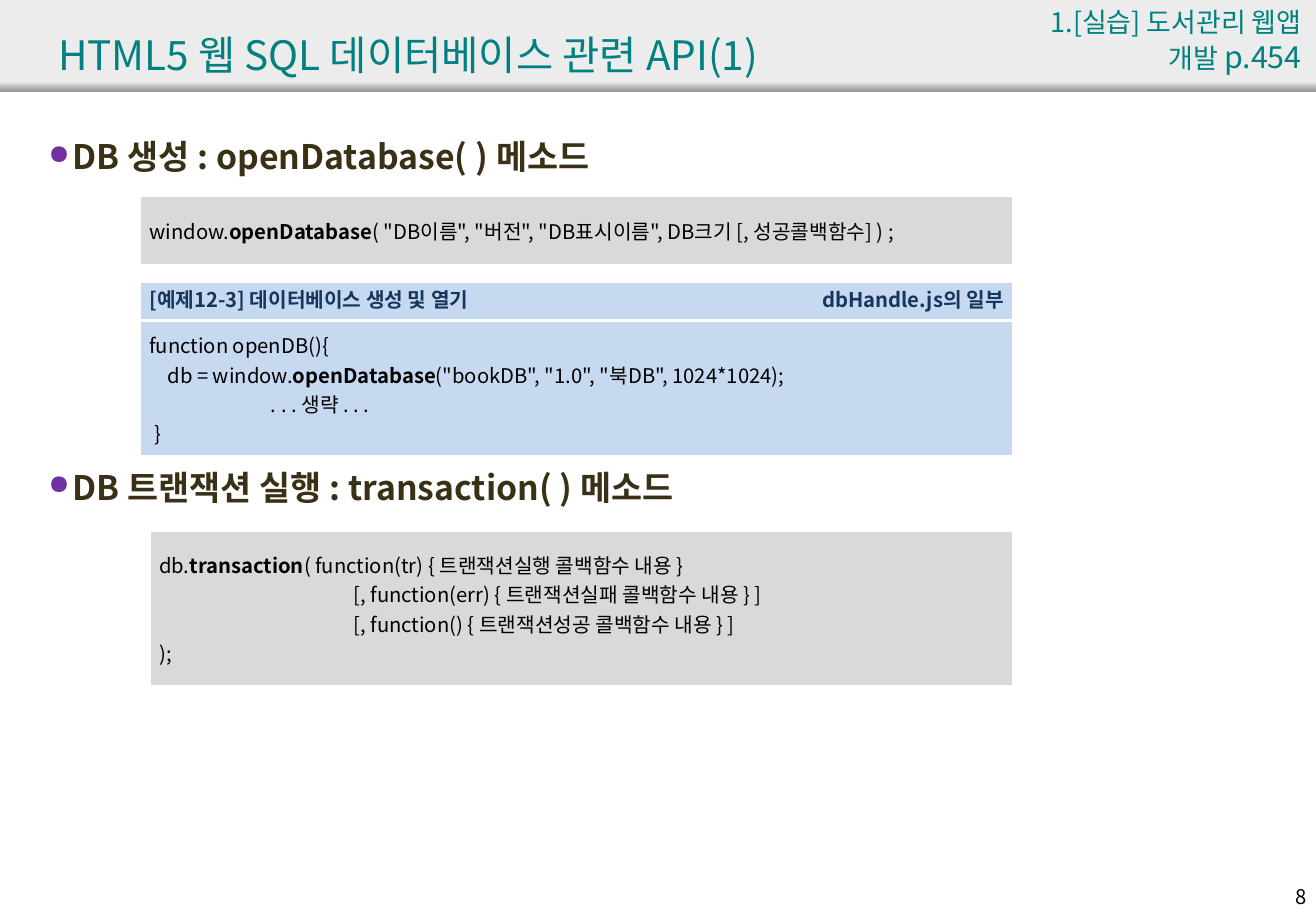
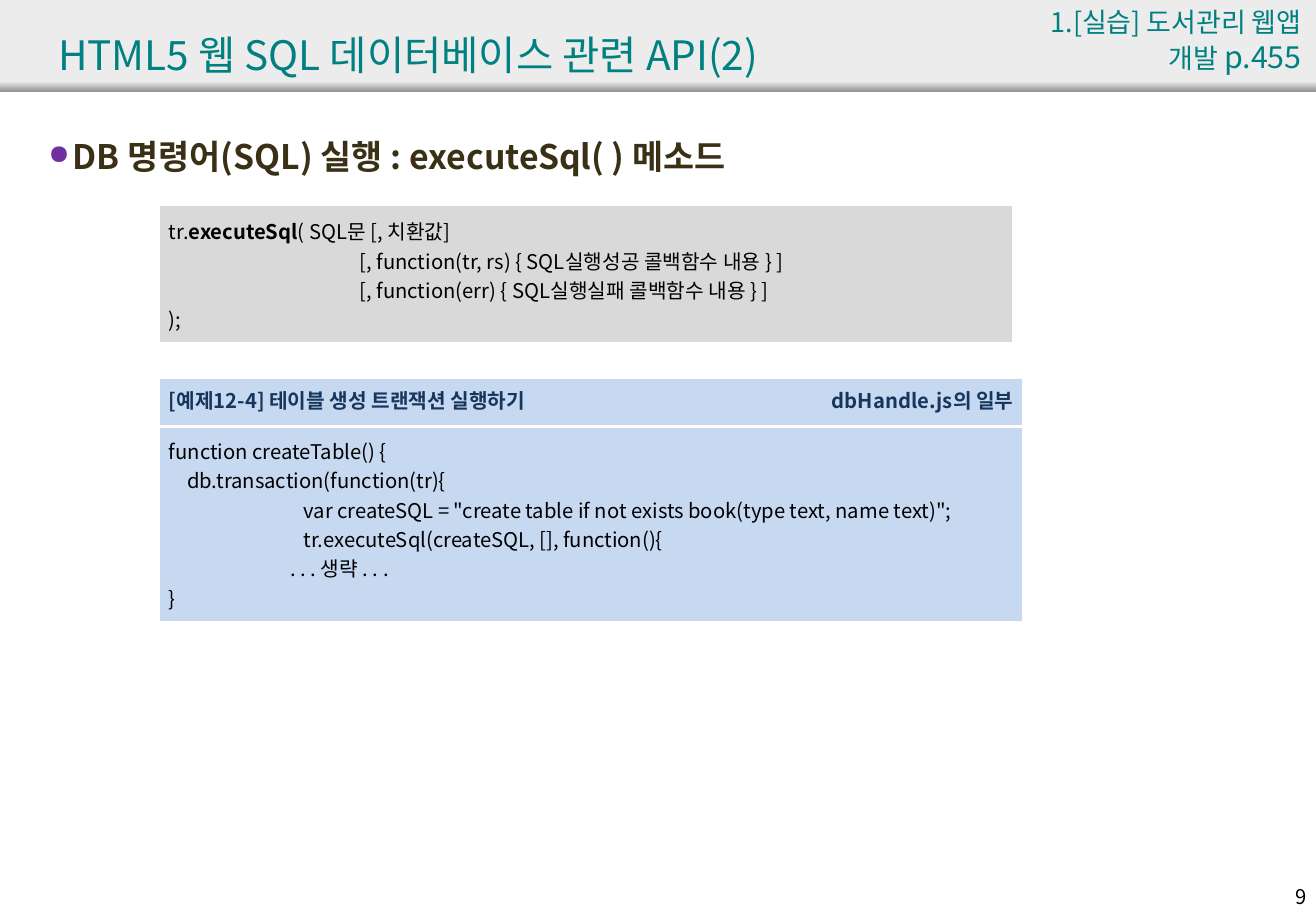
from dataclasses import dataclass

from lxml import etree
from pptx import Presentation
from pptx.dml.color import RGBColor
from pptx.enum import shapes, text
from pptx.oxml import ns
from pptx.util import Inches, Pt


@dataclass(frozen=True)
class Theme:
    font: str = "Noto Sans CJK KR"
    teal: str = "008080"
    brown: str = "3A3016"
    purple: str = "7030A0"
    navy: str = "17365D"
    black: str = "000000"
    white: str = "FFFFFF"
    band: str = "ECECEC"
    band_edge: str = "979797"
    syntax_fill: str = "D9D9D9"
    example_fill: str = "C6D9F1"
    title_size: int = 24
    heading_size: int = 20
    page_size: int = 18
    chapter_size: int = 16
    code_size: int = 12


THEME = Theme()
WIDTH, HEIGHT = 10.83, 7.5
BAND_HEIGHT, EDGE_HEIGHT = 0.75, 0.08
PLAIN_TABLE_STYLE = "{2D5ABB26-0587-4C30-8999-92F81FD0307C}"
ALIGN = text.PP_ALIGN
MIDDLE = text.MSO_ANCHOR.MIDDLE

# Content: code lines are (indent in inches, text), with bold between ** marks
CHAPTER = "1.[실습] 도서관리 웹앱 개발 "
SOURCE_FILE = "dbHandle.js의 일부"
SLIDES = [
    {
        "number": 8,
        "title": "HTML5 웹 SQL 데이터베이스 관련 API(1)",
        "page": "p.454",
        "headings": [
            (1.07, "DB 생성 : openDatabase( ) 메소드"),
            (3.79, "DB 트랜잭션 실행 : transaction( ) 메소드"),
        ],
        "syntax": [
            {"box": (1.16, 1.62, 7.17, 0.55), "lines": [
                (0, 'window.**openDatabase**( "DB이름", "버전", "DB표시이름", DB크기 [, 성공콜백함수] ) ;'),
            ]},
            {"box": (1.24, 4.38, 7.09, 1.26), "lines": [
                (0, "db.**transaction**( function(tr) { 트랜잭션실행 콜백함수 내용 }"),
                (1.6, "[, function(err) { 트랜잭션실패 콜백함수 내용 } ]"),
                (1.6, "[, function() { 트랜잭션성공 콜백함수 내용 } ]"),
                (0, ");"),
            ]},
        ],
        "example": {
            "box": (1.16, 2.33, 7.17, 1.42), "header": 0.31,
            "caption": "[예제12-3] 데이터베이스 생성 및 열기",
            "lines": [
                (0, "function openDB(){"),
                (0.15, 'db = window.**openDatabase**("bookDB", "1.0", "북DB", 1024*1024);'),
                (1, ". . . 생략 . . ."),
                (0.04, "}"),
            ],
        },
    },
    {
        "number": 9,
        "title": "HTML5 웹 SQL 데이터베이스 관련 API(2)",
        "page": "p.455",
        "headings": [(1.07, "DB 명령어(SQL) 실행 : executeSql( ) 메소드")],
        "syntax": [
            {"box": (1.32, 1.7, 7.01, 1.12), "lines": [
                (0, "tr.**executeSql**( SQL문 [, 치환값]"),
                (1.57, "[, function(tr, rs) { SQL실행성공 콜백함수 내용 } ]"),
                (1.57, "[, function(err) { SQL실행실패 콜백함수 내용 } ]"),
                (0, ");"),
            ]},
        ],
        "example": {
            "box": (1.32, 3.12, 7.09, 1.99), "header": 0.39,
            "caption": "[예제12-4] 테이블 생성 트랜잭션 실행하기",
            "lines": [
                (0, "function createTable() {"),
                (0.15, "db.transaction(function(tr){"),
                (1.11, 'var createSQL = "create table if not exists book(type text, name text)";'),
                (1.11, "tr.executeSql(createSQL, [], function(){"),
                (1, ". . . 생략 . . ."),
                (0, "}"),
            ],
        },
    },
]


# Text helpers
def rgb(color):
    return RGBColor.from_string(color)


def add_run(paragraph, content, size, color, bold=False):
    run = paragraph.add_run()
    run.text = content
    run.font.size, run.font.bold = Pt(size), bold
    run.font.name = THEME.font
    run.font.color.rgb = rgb(color)
    east_asian = etree.SubElement(run._r.get_or_add_rPr(), ns.qn("a:ea"))
    east_asian.set("typeface", THEME.font)


def add_text(slide, box, runs, align=ALIGN.LEFT, anchor=text.MSO_ANCHOR.TOP):
    frame = slide.shapes.add_textbox(*map(Inches, box)).text_frame
    frame.word_wrap = True
    frame.vertical_anchor = anchor
    paragraph = frame.paragraphs[0]
    paragraph.alignment = align
    for run in runs:
        add_run(paragraph, *run)
    return paragraph


def add_heading(slide, top, content):
    paragraph = add_text(slide, (0.3, top, 10.32, 0.5),
                         [(content, THEME.heading_size, THEME.brown, True)])
    paragraph.space_before = Pt(4)
    properties = paragraph._p.get_or_add_pPr()
    properties.set("marL", str(Inches(0.2)))
    properties.set("indent", str(-Inches(0.2)))
    color = etree.SubElement(properties, ns.qn("a:buClr"))
    etree.SubElement(color, ns.qn("a:srgbClr")).set("val", THEME.purple)
    etree.SubElement(properties, ns.qn("a:buSzPct")).set("val", "80000")
    etree.SubElement(properties, ns.qn("a:buChar")).set("char", "●")


# Table helpers
def add_plain_table(slide, box, row_heights, columns):
    left, top, width, height = box
    frame = slide.shapes.add_table(len(row_heights), columns, *map(Inches, box))
    table = frame.table
    table.first_row = table.horz_banding = False
    table._tbl.tblPr.find(ns.qn("a:tableStyleId")).text = PLAIN_TABLE_STYLE
    for row, row_height in zip(table.rows, row_heights):
        row.height = Inches(row_height)
    for column in table.columns:
        column.width = Inches(width / columns)
    return table


def style_cell(cell, fill, vertical_margin):
    cell.fill.solid()
    cell.fill.fore_color.rgb = rgb(fill)
    cell.vertical_anchor = MIDDLE
    cell.margin_left = cell.margin_right = Inches(0.07)
    cell.margin_top = cell.margin_bottom = Inches(vertical_margin)


def add_white_border(cell, side):
    line = etree.Element(ns.qn(f"a:{side}"), w=str(Pt(2.25)))
    fill = etree.SubElement(line, ns.qn("a:solidFill"))
    etree.SubElement(fill, ns.qn("a:srgbClr")).set("val", THEME.white)
    cell._tc.get_or_add_tcPr().insert(0, line)


def fill_code(cell, lines, fill):
    style_cell(cell, fill, 0.08)
    frame = cell.text_frame
    for index, (indent, content) in enumerate(lines):
        paragraph = frame.add_paragraph() if index else frame.paragraphs[0]
        paragraph.alignment = ALIGN.JUSTIFY
        paragraph._p.get_or_add_pPr().set("marL", str(Inches(indent)))
        for part, piece in enumerate(content.split("**")):
            add_run(paragraph, piece, THEME.code_size, THEME.black, part % 2 == 1)


def add_syntax(slide, syntax):
    table = add_plain_table(slide, syntax["box"], [syntax["box"][3]], 1)
    fill_code(table.cell(0, 0), syntax["lines"], THEME.syntax_fill)


def add_example(slide, example):
    header = example["header"]
    table = add_plain_table(slide, example["box"], [header, example["box"][3] - header], 2)
    labels = [(example["caption"], ALIGN.JUSTIFY), (SOURCE_FILE, ALIGN.RIGHT)]
    for column, (label, align) in enumerate(labels):
        cell = table.cell(0, column)
        style_cell(cell, THEME.example_fill, 0)
        add_white_border(cell, "lnB")
        paragraph = cell.text_frame.paragraphs[0]
        paragraph.alignment, paragraph.line_spacing = align, Pt(14)
        add_run(paragraph, label, THEME.code_size, THEME.navy, True)
    code = table.cell(1, 0)
    code.merge(table.cell(1, 1))
    fill_code(code, example["lines"], THEME.example_fill)
    for column in range(2):
        add_white_border(table.cell(1, column), "lnT")


# Parts shared by all slides
def add_band(slide, top, height):
    shape = slide.shapes.add_shape(shapes.MSO_SHAPE.RECTANGLE, 0, Inches(top),
                                   Inches(WIDTH), Inches(height))
    shape.shadow.inherit = False
    shape.line.fill.background()
    return shape.fill


def add_frame(slide, content):
    band = add_band(slide, 0, BAND_HEIGHT)
    band.solid()
    band.fore_color.rgb = rgb(THEME.band)
    edge = add_band(slide, BAND_HEIGHT - EDGE_HEIGHT, EDGE_HEIGHT)
    edge.gradient()
    edge.gradient_angle = 270
    for stop, color in zip(edge.gradient_stops, (THEME.band, THEME.band_edge)):
        stop.color.rgb = rgb(color)
    add_text(slide, (10.3, 7.23, 0.55, 0.3),
             [(str(content["number"]), THEME.code_size, THEME.black)], ALIGN.RIGHT)
    add_text(slide, (0.38, 0.13, 9.92, 0.63),
             [(content["title"], THEME.title_size, THEME.teal)], anchor=MIDDLE)
    add_text(slide, (8.27, 0, 2.54, 0.4),
             [(CHAPTER, THEME.chapter_size, THEME.teal),
              (content["page"], THEME.page_size, THEME.teal)], ALIGN.RIGHT)


def main():
    presentation = Presentation()
    presentation.slide_width, presentation.slide_height = Inches(WIDTH), Inches(HEIGHT)
    for content in SLIDES:
        slide = presentation.slides.add_slide(presentation.slide_layouts[6])
        add_frame(slide, content)
        for top, heading in content["headings"]:
            add_heading(slide, top, heading)
        for syntax in content["syntax"]:
            add_syntax(slide, syntax)
        add_example(slide, content["example"])
    presentation.save("out.pptx")


if __name__ == "__main__":
    main()
